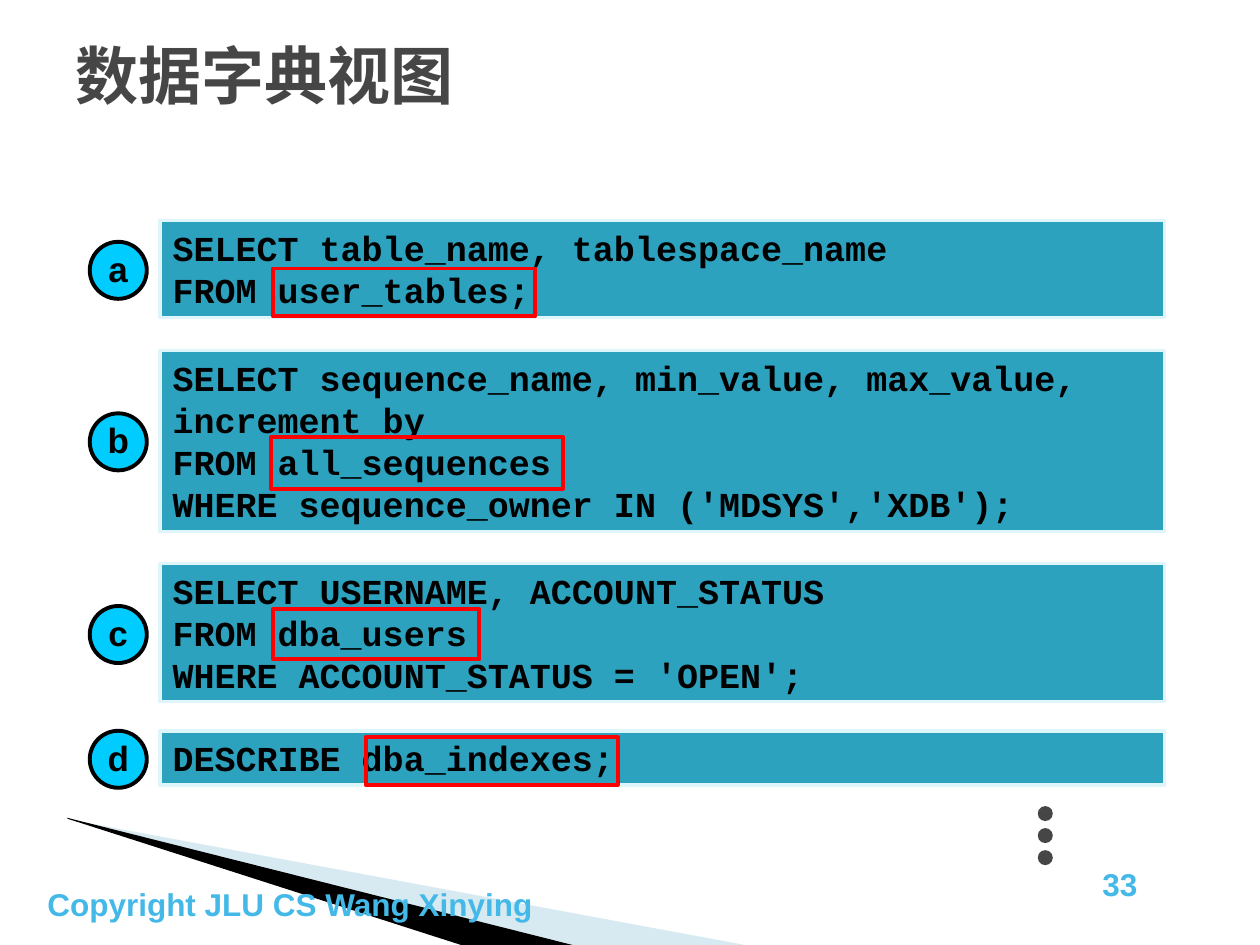
from lxml.etree import SubElement
from pptx import Presentation
from pptx.dml.color import RGBColor
from pptx.enum.shapes import MSO_SHAPE
from pptx.enum.text import MSO_ANCHOR, PP_ALIGN
from pptx.oxml.ns import qn
from pptx.util import Pt

WHITE = RGBColor(0xFF, 0xFF, 0xFF)
BLACK = RGBColor(0, 0, 0)
GRAY = RGBColor(0x46, 0x46, 0x46)
TEAL = RGBColor(0x2D, 0xA2, 0xBF)
PALE = RGBColor(0xDE, 0xF5, 0xFA)
CYAN = RGBColor(0, 0xCC, 0xFF)
RED = RGBColor(0xFF, 0, 0)
SKY = RGBColor(0x44, 0xB9, 0xE8)
MIST = RGBColor(0x9F, 0xCB, 0xDC)

# label, top and height of the panel, badge top, code, frame round the view name
QUERIES = [
    ("a", 126, 55.4, 138.2,
     "SELECT table_name, tablespace_name\nFROM user_tables;",
     (156, 153.4, 150, 27.4)),
    ("b", 200.2, 103.7, 236.2,
     "SELECT sequence_name, min_value, max_value, increment_by\n"
     "FROM all_sequences\nWHERE sequence_owner IN ('MDSYS','XDB');",
     (154.8, 249.8, 167, 29.5)),
    ("c", 322, 79, 346.3,
     "SELECT USERNAME, ACCOUNT_STATUS\nFROM dba_users\n"
     "WHERE ACCOUNT_STATUS = 'OPEN';",
     (156, 348, 118, 28.8)),
    ("d", 417.6, 31, 417.6, "DESCRIBE dba_indexes;",
     (209, 421.2, 144, 27.4)),
]


def paint(shape, fill=None, line=None, width=2.25):
    shape.shadow.inherit = False
    if fill is None:
        shape.fill.background()
    else:
        shape.fill.solid()
        shape.fill.fore_color.rgb = fill
    if line is None:
        shape.line.fill.background()
    else:
        shape.line.color.rgb = line
        shape.line.width = Pt(width)


def add_box(slide, kind, box, **look):
    shape = slide.shapes.add_shape(kind, *map(Pt, box))
    paint(shape, **look)
    return shape


def write(shape, text, font, size, color, align=PP_ALIGN.LEFT,
          anchor=MSO_ANCHOR.TOP, inset=(7.2, 3.6), wrap=True):
    frame = shape.text_frame
    frame.word_wrap = wrap
    frame.vertical_anchor = anchor
    frame.margin_left = frame.margin_right = Pt(inset[0])
    frame.margin_top = frame.margin_bottom = Pt(inset[1])
    frame.text = text
    for para in frame.paragraphs:
        para.alignment = align
        for run in para.runs:
            run.font.name = font
            run.font.size = Pt(size)
            run.font.bold = True
            run.font.color.rgb = color


def add_text(slide, box, text, font, size, color, **layout):
    shape = slide.shapes.add_textbox(*map(Pt, box))
    write(shape, text, font, size, color, **layout)


def add_wedge(slide, points, color, alpha=None):
    """Draw a filled outline; alpha is the opacity in percent."""
    first, *rest = [(Pt(x), Pt(y)) for x, y in points]
    path = slide.shapes.build_freeform(*first)
    path.add_line_segments(rest, close=True)
    shape = path.convert_to_shape()
    paint(shape, fill=color)
    if alpha is not None:
        tint = shape.fill._xPr.find(qn("a:solidFill"))[0]
        SubElement(tint, qn("a:alpha")).set("val", str(alpha * 1000))


def add_footer(slide):
    add_wedge(slide, [(39.6, 468.4), (428.4, 540.5), (328.3, 540.5),
                      (39.6, 468)], MIST, alpha=40)
    add_wedge(slide, [(38.2, 467.3), (329, 540.5), (267.8, 541.4),
                      (38.9, 468)], BLACK)
    add_text(slide, (20, 502, 292, 29), "Copyright JLU CS Wang Xinying",
             "Arial", 18, SKY, wrap=False)
    add_text(slide, (622.8, 491, 101.5, 29), "33",
             "Arial", 18, SKY, wrap=False)


def add_dots(slide, left, top, size, step):
    for i in range(3):
        add_box(slide, MSO_SHAPE.OVAL, (left, top + i * step, size, size),
                fill=GRAY)


def add_panel(slide, box, code):
    panel = add_box(slide, MSO_SHAPE.RECTANGLE, box,
                    fill=TEAL, line=PALE, width=2)
    write(panel, code, "Courier New", 20, BLACK)


def add_badge(slide, left, top, label):
    badge = add_box(slide, MSO_SHAPE.OVAL, (left, top, 32.6, 32.6),
                    fill=CYAN, line=BLACK)
    write(badge, label, "Arial", 20, BLACK, align=PP_ALIGN.CENTER,
          anchor=MSO_ANCHOR.MIDDLE, inset=(3.6, 3.6), wrap=False)
    badge.text_frame.paragraphs[0].line_spacing = 0.95


def add_query(slide, left, width, query):
    label, top, height, mark, code, frame = query
    add_panel(slide, (left, top, width, height), code)
    add_box(slide, MSO_SHAPE.RECTANGLE, frame, line=RED)
    add_badge(slide, left - 40.2, mark, label)


def main():
    deck = Presentation()
    deck.slide_width, deck.slide_height = Pt(720), Pt(540)
    slide = deck.slides.add_slide(deck.slide_layouts[6])
    slide.background.fill.solid()
    slide.background.fill.fore_color.rgb = WHITE
    add_footer(slide)
    add_dots(slide, 593, 460.6, 8.6, 12.6)
    for query in QUERIES:
        add_query(slide, 91.5, 574, query)
    add_text(slide, (42.5, 20.2, 576, 69), "数据字典视图",
             "DejaVu Sans Mono", 36, GRAY, inset=(0.7, 0.7))
    deck.save("out.pptx")


if __name__ == "__main__":
    main()
